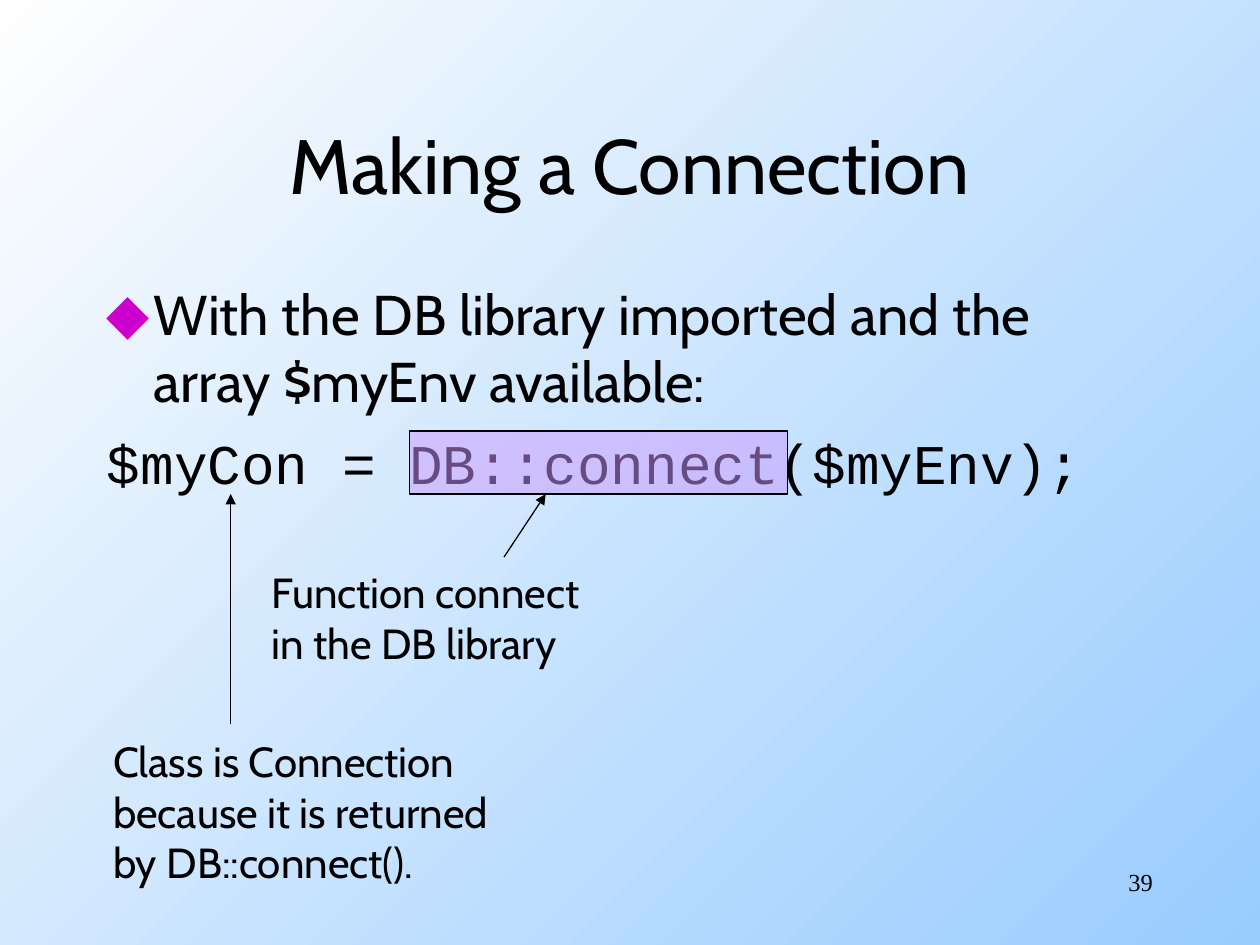
"""Build the slide that explains how a database connection is made."""

from dataclasses import dataclass

from lxml.etree import SubElement
from pptx import Presentation
from pptx.dml.color import RGBColor
from pptx.enum.shapes import MSO_CONNECTOR, MSO_SHAPE
from pptx.enum.text import MSO_ANCHOR, MSO_AUTO_SIZE, PP_ALIGN
from pptx.oxml.ns import qn
from pptx.util import Cm, Pt

INK = "000000"
PROSE_FONT = "Cabin"
CODE_FONT = "Courier New"
HANGING_INDENT = Cm(0.95)


@dataclass(frozen=True)
class Box:
    left: float
    top: float
    width: float
    height: float

    def lengths(self) -> tuple:
        return Cm(self.left), Cm(self.top), Cm(self.width), Cm(self.height)


@dataclass(frozen=True)
class Callout:
    lines: tuple
    box: Box
    arrow_start: tuple
    arrow_tip: tuple
    highlight: Box | None = None


CALLOUTS = (
    Callout(
        ("Function connect", "in the DB library"),
        Box(5.23, 11.3, 7.34, 2.29),
        (10.16, 11.23),
        (11, 9.96),
        Box(8.26, 8.69, 7.62, 1.27),
    ),
    Callout(
        ("Class is Connection", "because it is returned", "by DB::connect()."),
        Box(2.03, 14.71, 9.12, 3.3),
        (4.65, 14.6),
        (4.65, 9.96),
    ),
)


def color(value: str) -> RGBColor:
    return RGBColor.from_string(value)


def place(shape, box: Box) -> None:
    shape.left, shape.top, shape.width, shape.height = box.lengths()


def add_run(paragraph, words: str, size: float, font: str = PROSE_FONT) -> None:
    run = paragraph.add_run()
    run.text = words
    run.font.size = Pt(size)
    run.font.name = font
    run.font.color.rgb = color(INK)


def add_lines(frame, lines: tuple, size: float) -> None:
    for index, line in enumerate(lines):
        paragraph = frame.add_paragraph() if index else frame.paragraphs[0]
        add_run(paragraph, line, size)


def set_bullet(paragraph, symbol: str = "", tint: str = "") -> None:
    properties = paragraph._p.get_or_add_pPr()
    properties.set("marL", str(HANGING_INDENT))
    properties.set("indent", str(-HANGING_INDENT))
    if symbol:
        bullet_color = SubElement(properties, qn("a:buClr"))
        SubElement(bullet_color, qn("a:srgbClr"), val=tint)
        SubElement(properties, qn("a:buFont"), typeface=PROSE_FONT)
        SubElement(properties, qn("a:buChar"), char=symbol)
    else:
        SubElement(properties, qn("a:buNone"))


def paint_background(slide) -> None:
    fill = slide.background.fill
    fill.gradient()
    fill.gradient_angle = 135
    for stop, tint in zip(fill.gradient_stops, ("99CCFF", "FEFEFE")):
        stop.color.rgb = color(tint)


def fill_title(title) -> None:
    place(title, Box(1.9, 1.7, 21.59, 3.18))
    frame = title.text_frame
    frame.auto_size = MSO_AUTO_SIZE.NONE
    frame.vertical_anchor = MSO_ANCHOR.MIDDLE
    frame.paragraphs[0].alignment = PP_ALIGN.CENTER
    add_run(frame.paragraphs[0], "Making a Connection", 44)


def fill_body(body) -> None:
    place(body, Box(1.9, 5.51, 21.59, 11.43))
    frame = body.text_frame
    frame.auto_size = MSO_AUTO_SIZE.NONE
    condition, statement = frame.paragraphs[0], frame.add_paragraph()
    set_bullet(condition, "◆", "CC00CC")
    condition.space_before = Pt(0)
    add_run(condition, "With the DB library imported and the array $myEnv available:", 32)
    set_bullet(statement)
    statement.space_before = Pt(8)
    add_run(statement, "$myCon = DB::connect($myEnv);", 32, CODE_FONT)


def add_highlight(shapes, box: Box) -> None:
    highlight = shapes.add_shape(MSO_SHAPE.RECTANGLE, *box.lengths())
    highlight.shadow.inherit = False
    highlight.fill.solid()
    highlight.fill.fore_color.rgb = color("CC99FF")
    tint = highlight._element.spPr.find(qn("a:solidFill"))[0]
    SubElement(tint, qn("a:alpha"), val="50000")
    highlight.line.color.rgb = color(INK)
    highlight.line.width = Pt(0.75)


def add_arrow(shapes, start: tuple, tip: tuple) -> None:
    ends = [Cm(value) for value in (*start, *tip)]
    arrow = shapes.add_connector(MSO_CONNECTOR.STRAIGHT, *ends)
    arrow.line.color.rgb = color(INK)
    arrow.line.width = Pt(0.75)
    SubElement(arrow.line._get_or_add_ln(), qn("a:tailEnd"), type="triangle")
    SubElement(arrow._element.spPr, qn("a:effectLst"))


def add_callout(slide, callout: Callout) -> None:
    shapes = slide.shapes.add_group_shape().shapes
    frame = shapes.add_textbox(*callout.box.lengths()).text_frame
    frame.word_wrap = False
    frame.auto_size = MSO_AUTO_SIZE.SHAPE_TO_FIT_TEXT
    add_lines(frame, callout.lines, 24)
    if callout.highlight:
        add_highlight(shapes, callout.highlight)
    add_arrow(shapes, callout.arrow_start, callout.arrow_tip)


def add_page_number(slide) -> None:
    frame = slide.shapes.add_textbox(*Box(18.21, 17.35, 5.28, 1.27).lengths()).text_frame
    frame.word_wrap = True
    frame.paragraphs[0].alignment = PP_ALIGN.RIGHT
    add_run(frame.paragraphs[0], "39", 14, "Times New Roman")


def main() -> None:
    deck = Presentation()
    deck.slide_width, deck.slide_height = Cm(25.4), Cm(19.05)
    slide = deck.slides.add_slide(deck.slide_layouts[1])
    paint_background(slide)
    fill_title(slide.shapes.title)
    fill_body(slide.placeholders[1])
    for callout in CALLOUTS:
        add_callout(slide, callout)
    add_page_number(slide)
    deck.save("out.pptx")


if __name__ == "__main__":
    main()
